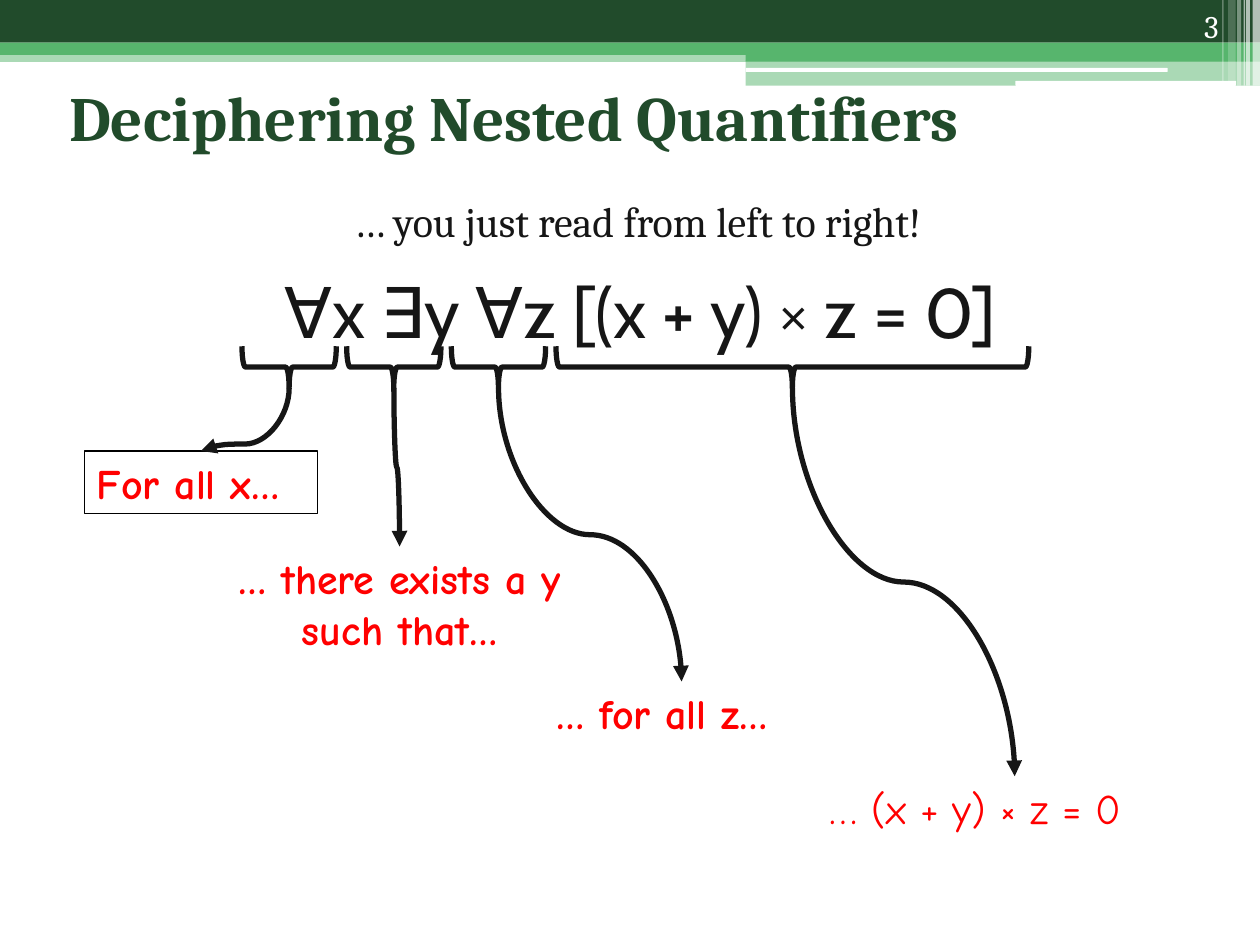
import lxml.etree
import pptx
import pptx.dml.color
import pptx.enum.shapes
import pptx.enum.text
import pptx.oxml
import pptx.oxml.ns
import pptx.util

Cm = pptx.util.Cm
Pt = pptx.util.Pt
ALIGN = pptx.enum.text.PP_ALIGN
ANCHOR = pptx.enum.text.MSO_ANCHOR
SHAPE = pptx.enum.shapes.MSO_SHAPE

DARK_GREEN, GREEN, WHITE, INK, RED = "214B2B", "57B56D", "FFFFFF", "161616", "FF0000"


def color(value):
    return pptx.dml.color.RGBColor.from_string(value)


def add_child(parent, tag, **attributes):
    child = lxml.etree.SubElement(parent, pptx.oxml.ns.qn(tag))
    for name, value in attributes.items():
        child.set(name, str(value))
    return child


def place(shape, box):
    shape.left, shape.top, shape.width, shape.height = map(Cm, box)


def write(shape, text, size, font, value, align=ALIGN.LEFT, bold=False, anchor=ANCHOR.TOP):
    frame = shape.text_frame
    frame.word_wrap = True
    frame.auto_size = pptx.enum.text.MSO_AUTO_SIZE.NONE
    frame.vertical_anchor = anchor
    frame.text = text
    paragraph = frame.paragraphs[0]
    paragraph.alignment = align
    paragraph.font.size = Pt(size)
    paragraph.font.name = font
    paragraph.font.bold = bold
    paragraph.font.color.rgb = color(value)
    return paragraph


def set_line(shape, value, width):
    shape.line.color.rgb = color(value)
    shape.line.width = Pt(width)


def add_bar(shapes, kind, box, value, opacity=100):
    bar = shapes.add_shape(kind, *map(Cm, box))
    bar.shadow.inherit = False
    bar.line.fill.background()
    bar.fill.solid()
    bar.fill.fore_color.rgb = color(value)
    if opacity < 100:
        fill_color = bar.element.spPr.find(".//" + pptx.oxml.ns.qn("a:srgbClr"))
        add_child(fill_color, "a:alpha", val=opacity * 1000)


def add_header(slide, box):
    left, top, width, height = box
    half = left + 15.03
    right = left + width
    bars = [
        (SHAPE.RECTANGLE, (left, top + 1.02, width, 0.23), GREEN, 50),
        (SHAPE.RECTANGLE, (left, top, width, 0.86), DARK_GREEN, 100),
        (SHAPE.RECTANGLE, (left, top + 0.86, width, 0.25), GREEN, 100),
        (SHAPE.RECTANGLE, (half, top + 0.99, right - half, 0.25), GREEN, 100),
        (SHAPE.RECTANGLE, (half, top + 1.22, right - half, 0.51), GREEN, 50),
        (SHAPE.ROUNDED_RECTANGLE, (half, top + 1.37, 8.51, 0.08), WHITE, 100),
        (SHAPE.ROUNDED_RECTANGLE, (left + 20.47, top + 1.63, 4.45, 0.1), WHITE, 100),
    ]
    for bar in bars:
        add_bar(slide.shapes, *bar)

    stripes = [
        (0.15, 0.15, height, 65),
        (0.28, 0.08, height, 65),
        (0.33, 0.03, height, 60),
        (0.46, 0.08, height, 40),
        (0.64, 0.15, height - 0.1, 20),
        (0.76, 0.03, height - 0.1, 30),
    ]
    for offset, stripe_width, stripe_height, opacity in stripes:
        stripe = (right - offset, top, stripe_width, stripe_height)
        add_bar(slide.shapes, SHAPE.RECTANGLE, stripe, WHITE, opacity)

    number = slide.shapes.add_textbox(*map(Cm, (right - 2.69, top, 2.11, 1.02)))
    write(number, "3", 18, "Cambria", WHITE, ALIGN.RIGHT, anchor=ANCHOR.BOTTOM)


def add_heading(slide, box):
    left, top, width, height = box
    title, body = slide.placeholders[0], slide.placeholders[1]
    for placeholder in (title, body):
        slide.shapes.element.append(placeholder.element)
    place(title, (left, top, width, height))
    write(title, "Deciphering Nested Quantifiers", 36, "Cambria", DARK_GREEN,
          bold=True, anchor=ANCHOR.MIDDLE)

    place(body, (left + 0.76, top + 2.74, 21.59, 1.9))
    paragraph = write(body, "… you just read from left to right!", 24, "Cambria", INK,
                      ALIGN.CENTER)
    paragraph.space_before = Pt(3)
    properties = paragraph._p.get_or_add_pPr()
    properties.set("marL", str(Cm(1.02)))
    properties.set("indent", str(Cm(-0.71)))
    add_child(properties, "a:buNone")
    properties.append(properties.find(pptx.oxml.ns.qn("a:defRPr")))


def add_brace(shapes, box):
    left, top, width, height = box
    center_x, center_y = left + width / 2, top + height / 2
    brace = shapes.add_shape(SHAPE.LEFT_BRACE, Cm(center_x - height / 2),
                             Cm(center_y - width / 2), Cm(height), Cm(width))
    brace.rotation = 270
    brace.shadow.inherit = False
    brace.fill.background()
    set_line(brace, INK, 3)


def add_curve(shapes, label_point, brace_point, bend):
    center_x, center_y = [(a + b) / 2 for a, b in zip(label_point, brace_point)]
    across = (label_point[0] - brace_point[0]) / 2
    along = (label_point[1] - brace_point[1]) / 2
    curve = shapes.add_connector(
        pptx.enum.shapes.MSO_CONNECTOR.CURVE,
        Cm(center_x - along), Cm(center_y + across),
        Cm(center_x + along), Cm(center_y - across))
    set_line(curve, INK, 3)
    properties = curve.element.spPr
    properties.find(pptx.oxml.ns.qn("a:xfrm")).set("rot", str(270 * 60000))
    adjustments = properties.find(".//" + pptx.oxml.ns.qn("a:avLst"))
    add_child(adjustments, "a:gd", name="adj1", fmla=f"val {round(bend * 100000)}")
    add_child(properties.find(pptx.oxml.ns.qn("a:ln")), "a:headEnd", type="triangle")
    add_child(properties, "a:effectLst")


def add_reading(slide, brace_box, label_box, text, align, bold, bend, framed):
    shapes = slide.shapes.add_group_shape().shapes
    add_brace(shapes, brace_box)
    label = shapes.add_textbox(*map(Cm, label_box))
    write(label, text, 24, "Comic Neue", RED, align, bold)
    if framed:
        set_line(label, "000000", 0.75)
    label_point = (label_box[0] + label_box[2] / 2, label_box[1])
    brace_point = (brace_box[0] + brace_box[2] / 2, brace_box[1] + brace_box[3])
    add_curve(shapes, label_point, brace_point, bend)


def add_formula(slide, box):
    left, top, width, height = box
    formula = slide.shapes.add_textbox(Cm(left), Cm(top), Cm(width), Cm(2.34))
    write(formula, "∀x ∃y ∀z [(x + y) × z = 0]", 40, "Cabin", INK, ALIGN.CENTER)

    readings = [
        (1.9, (-0.41, 3.81, 4.7, 1.27), "For all x…", ALIGN.LEFT, True, 0.11, True),
        (1.9, (1.73, 5.74, 8.43, 2.31), "… there exists a y such that…",
         ALIGN.CENTER, True, 0.5, False),
        (1.9, (8.86, 8.46, 5.54, 1.27), "… for all z…", ALIGN.LEFT, True, 0.5, False),
        (9.53, (14.37, 10.37, 7.95, 1.27), "… (x + y) × z = 0",
         ALIGN.LEFT, False, 0.5, False),
    ]
    brace_left, gap = left + 2.77, 0.21
    for brace_width, (x, y, label_width, label_height), *style in readings:
        brace_box = (brace_left, top + 1.7, brace_width, 0.84)
        add_reading(slide, brace_box, (left + x, top + y, label_width, label_height), *style)
        brace_left += brace_width + gap


def main():
    presentation = pptx.Presentation()
    presentation.slide_width, presentation.slide_height = Cm(25.4), Cm(19.05)
    slide = presentation.slides.add_slide(presentation.slide_layouts[1])
    add_header(slide, (0, 0, 25.4, 1.73))
    add_heading(slide, (1.14, 1.07, 23.09, 2.54))
    add_formula(slide, (2.11, 5.28, 21.59, 11.64))
    presentation.save("out.pptx")


if __name__ == "__main__":
    main()
